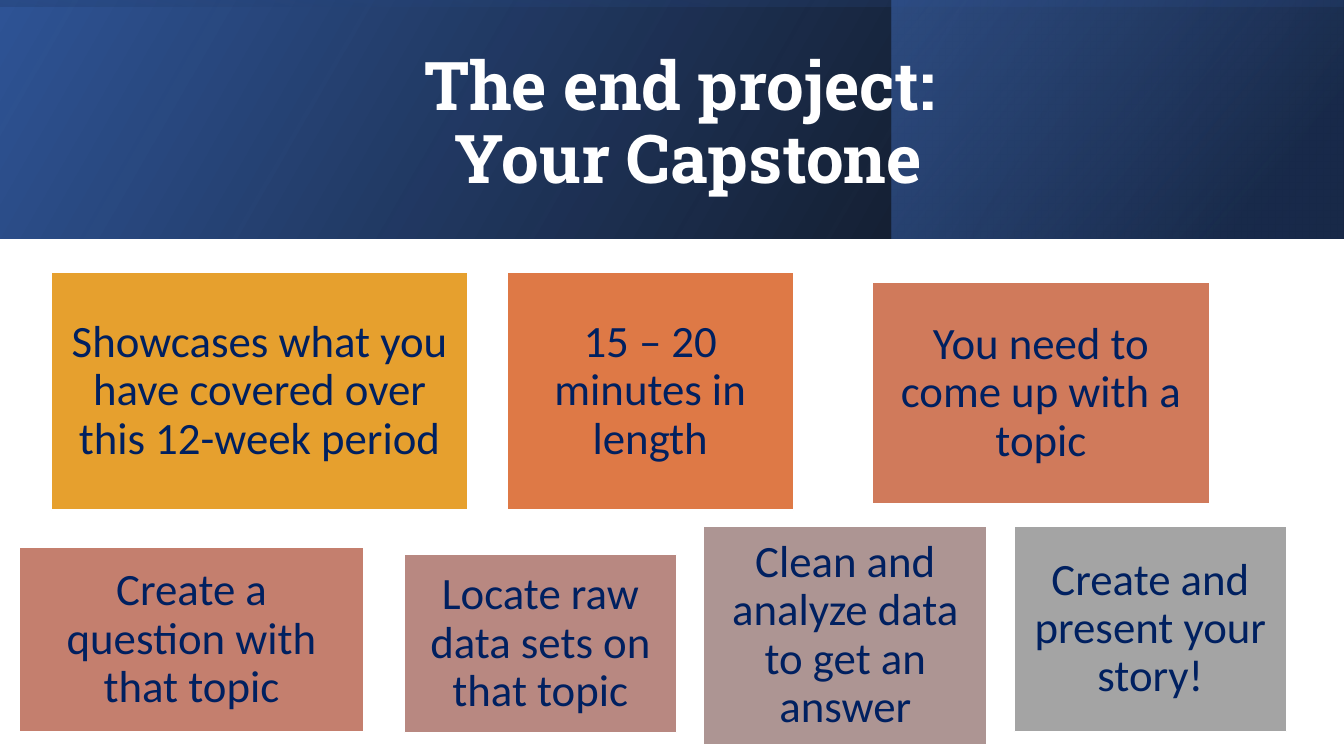
import pptx
import pptx.util
import pptx.dml.color
import pptx.enum.shapes
import pptx.enum.text
import pptx.oxml.ns
import lxml.etree

SLIDE_WIDTH = pptx.util.Inches(13.33)
SLIDE_HEIGHT = pptx.util.Inches(7.5)
SLIDE_BOX = (0, 0, SLIDE_WIDTH, SLIDE_HEIGHT)

FIRST_CARDS = [
    ("Showcases what you have covered over this 12-week period", "E6A02E", (3.83, 0, 30.98, 100)),
    ("15 – 20 minutes in length", "DE7946", (37.73, 0, 21.31, 100)),
    ("You need to come up with a topic", "D07A5B", (64.89, 4.24, 25.13, 93.22)),
]
SECOND_CARDS = [
    ("Create a question with that topic", "C47F6E", (1.43, 9.68, 25.66, 84.33)),
    ("Locate raw data sets on that topic", "B88881", (30.08, 12.9, 20.26, 81.57)),
    ("Clean and analyze data to get an answer", "AD9593", (52.36, 0, 21.08, 100)),
    ("Create and present your story!", "A4A4A4", (75.47, 0, 20.26, 94.01)),
]


def color(value):
    return pptx.dml.color.RGBColor.from_string(value)


def part_of(box, shares):
    left, top, width, height = box
    share_left, share_top, share_width, share_height = (share / 100 for share in shares)
    return (
        round(left + width * share_left),
        round(top + height * share_top),
        round(width * share_width),
        round(height * share_height),
    )


def add_rectangle(slide, box):
    shape = slide.shapes.add_shape(pptx.enum.shapes.MSO_SHAPE.RECTANGLE, *box)
    shape.shadow.inherit = False
    shape.line.fill.background()
    return shape


def add_element(parent, tag, **attributes):
    element = lxml.etree.SubElement(parent, pptx.oxml.ns.qn(tag))
    for name, value in attributes.items():
        element.set(name, str(value))
    return element


def add_gradient(slide, box, stops, angle):
    shape = add_rectangle(slide, box)
    properties = shape.element.spPr
    properties.find(pptx.oxml.ns.qn("a:xfrm")).set("flipH", "1")
    gradient = add_element(properties, "a:gradFill", rotWithShape=1)
    properties.find(pptx.oxml.ns.qn("a:prstGeom")).addnext(gradient)
    stop_list = add_element(gradient, "a:gsLst")
    for position, value, opacity in stops:
        stop = add_element(stop_list, "a:gs", pos=position * 1000)
        stop_color = add_element(stop, "a:srgbClr", val=value)
        add_element(stop_color, "a:alpha", val=opacity * 1000)
    add_element(gradient, "a:lin", ang=angle * 60000, scaled=0)
    return shape


def write_text(shape, text, size, font, ink, bold=False, margins=(0.13, 0.13)):
    frame = shape.text_frame
    frame.word_wrap = True
    frame.vertical_anchor = pptx.enum.text.MSO_ANCHOR.MIDDLE
    frame.margin_left = frame.margin_right = pptx.util.Inches(margins[0])
    frame.margin_top = frame.margin_bottom = pptx.util.Inches(margins[1])
    frame.text = text
    paragraph = frame.paragraphs[0]
    paragraph.alignment = pptx.enum.text.PP_ALIGN.CENTER
    paragraph.line_spacing = 0.9
    for run in paragraph.runs:
        run.font.size = pptx.util.Pt(size)
        run.font.name = font
        run.font.bold = bold
        run.font.color.rgb = color(ink)


def add_header(slide, box):
    left, top, width, height = box
    add_gradient(slide, box, [(0, "000000", 96), (100, "2F5496", 100)], 330)
    add_gradient(
        slide,
        part_of(box, (66.32, 0, 33.61, 100)),
        [(0, "1F3864", 68), (19, "1F3864", 68), (100, "4472C4", 48)],
        320,
    )
    upright_box = (left + (width - height) // 2, top + (height - width) // 2, height, width)
    shade = add_gradient(
        slide,
        upright_box,
        [(0, "2F5496", 16), (23, "2F5496", 16), (99, "000000", 45), (100, "000000", 45)],
        350,
    )
    shade.rotation = 270
    title = slide.shapes.add_textbox(*part_of(box, (11.33, 16.03, 79.74, 72.57)))
    write_text(title, "The end project: \vYour Capstone", 48, "Roboto Slab", "FFFFFF",
               bold=True, margins=(0.1, 0.05))


def add_cards(slide, box, cards):
    for text, fill, shares in cards:
        card = add_rectangle(slide, part_of(box, shares))
        card.fill.solid()
        card.fill.fore_color.rgb = color(fill)
        card.line.color.rgb = color("FFFFFF")
        card.line.width = pptx.util.Pt(1)
        write_text(card, text, 32, "Calibri", "002060")


presentation = pptx.Presentation()
presentation.slide_width = SLIDE_WIDTH
presentation.slide_height = SLIDE_HEIGHT
slide = presentation.slides.add_slide(presentation.slide_layouts[6])
add_header(slide, part_of(SLIDE_BOX, (0, 0, 100, 31.6)))
add_cards(slide, part_of(SLIDE_BOX, (0, 36, 100, 31.47)), FIRST_CARDS)
add_cards(slide, part_of(SLIDE_BOX, (0, 69.6, 100, 28.93)), SECOND_CARDS)
presentation.save("out.pptx")
